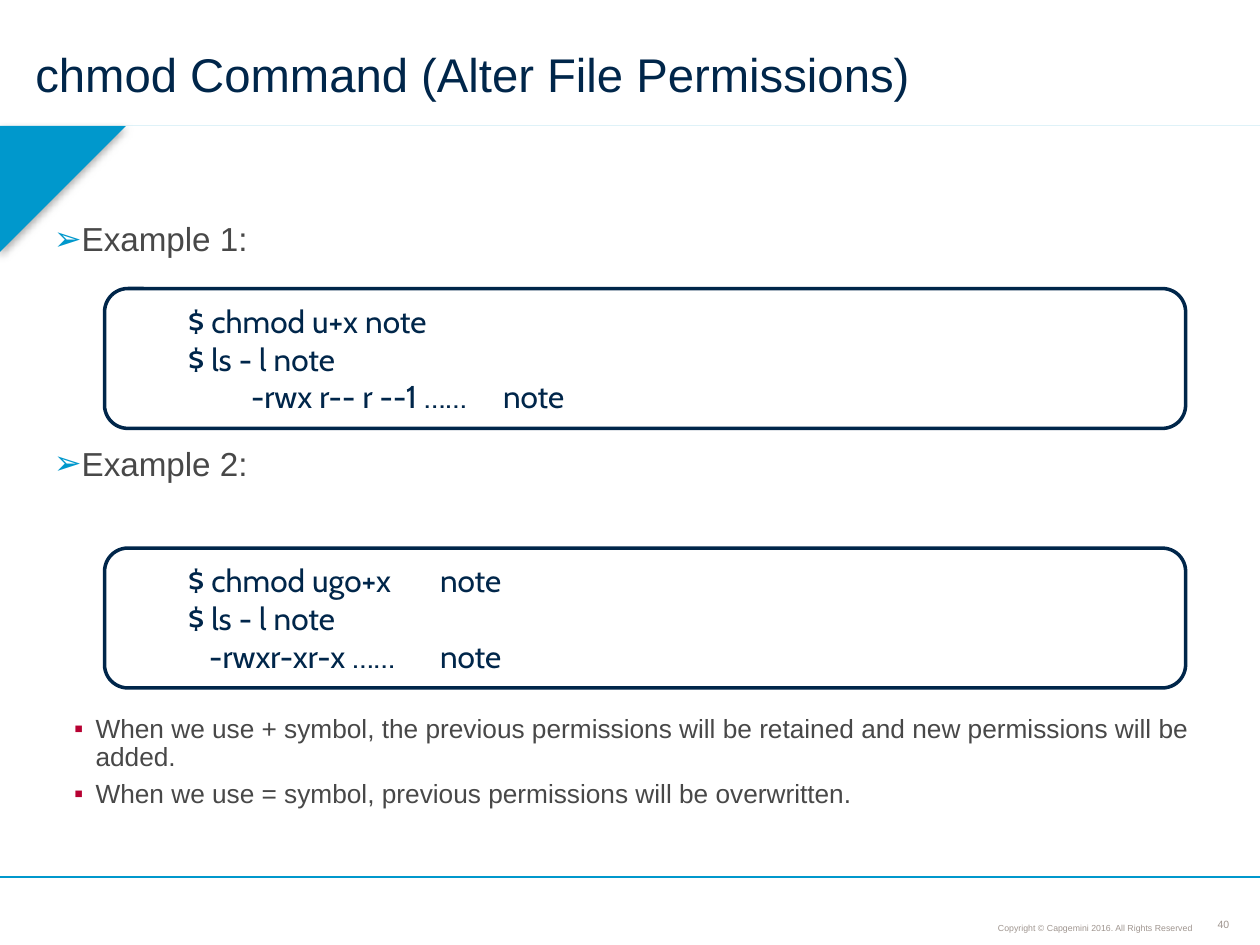
from lxml.etree import SubElement
from pptx import Presentation
from pptx.dml.color import RGBColor
from pptx.enum.shapes import MSO_CONNECTOR, MSO_SHAPE
from pptx.enum.text import MSO_ANCHOR, MSO_AUTO_SIZE, PP_ALIGN
from pptx.oxml.ns import qn
from pptx.util import Inches, Pt

NAVY, BLUE, RED = "00264A", "0098CC", "B70132"
GREY, FAINT, WHITE = "484848", "9F958F", "FFFFFF"

RIBBON_START = (9.51, 1.1)
RIBBON_CURVES = [
    [(0.97, 1.1)],
    [(0.59, 1.1), (0.48, 1.47), (0.48, 1.47)],
    [(0.48, 1.47), (0.38, 1.1), (0, 1.1)],
    [(0, 1.17)],
    [(0.38, 1.17), (0.48, 1.54), (0.48, 1.54)],
    [(0.48, 1.54), (0.59, 1.17), (0.97, 1.17)],
    [(9.51, 1.17)],
    [(9.89, 1.17), (10, 0.81), (10, 0.81)],
    [(10, 0.74)],
    [(10, 0.74), (9.89, 1.1), RIBBON_START],
]


def color(value):
    return RGBColor.from_string(value)


def set_frame(frame, insets, anchor=MSO_ANCHOR.TOP, wrap=True):
    frame.auto_size = MSO_AUTO_SIZE.NONE
    frame.word_wrap = wrap
    frame.vertical_anchor = anchor
    left, top, right, bottom = insets
    frame.margin_left, frame.margin_top = Inches(left), Inches(top)
    frame.margin_right, frame.margin_bottom = Inches(right), Inches(bottom)


def add_span(para, text, size, ink, font="Arial"):
    span = para.add_run()
    span.text = text
    span.font.size = Pt(size)
    span.font.name = font
    span.font.color.rgb = color(ink)


def add_bullet(para, char, ink, indent, hanging):
    properties = para._p.get_or_add_pPr()
    properties.set("marL", str(Inches(indent)))
    properties.set("indent", str(-Inches(hanging)))
    bullet_color = SubElement(properties, qn("a:buClr"))
    SubElement(bullet_color, qn("a:srgbClr"), val=ink)
    SubElement(properties, qn("a:buFont"), typeface="Arial")
    SubElement(properties, qn("a:buChar"), char=char)


def set_title(page, text):
    title = page.shapes.title
    title.left, title.top = Inches(0), Inches(0)
    title.width, title.height = Inches(10), Inches(1.1)
    set_frame(title.text_frame, (0.28, 0.17, 0.15, 0.03), MSO_ANCHOR.MIDDLE)
    para = title.text_frame.paragraphs[0]
    para.alignment = PP_ALIGN.LEFT
    para.line_spacing = 0.85
    add_span(para, text, 27, NAVY)


def add_bullets(page, top, height, lines, char, ink, size, indent, hanging):
    box = page.shapes.add_textbox(Inches(0.33), Inches(top), Inches(9.38), Inches(height))
    frame = box.text_frame
    set_frame(frame, (0.1, 0.07, 0.07, 0.07))
    for index, line in enumerate(lines):
        para = frame.add_paragraph() if index else frame.paragraphs[0]
        para.line_spacing = 0.9
        para.space_after = Pt(5.1)
        add_bullet(para, char, ink, indent, hanging)
        add_span(para, line, size, GREY)


def add_code_box(page, top, lines):
    box = page.shapes.add_shape(
        MSO_SHAPE.ROUNDED_RECTANGLE, Inches(0.83), Inches(top), Inches(8.58), Inches(1.11))
    box.shadow.inherit = False
    box.fill.solid()
    box.fill.fore_color.rgb = color(WHITE)
    box.line.color.rgb = color(NAVY)
    box.line.width = Pt(2)
    frame = box.text_frame
    set_frame(frame, (0.1, 0.05, 0.1, 0.05), MSO_ANCHOR.MIDDLE)
    for index, line in enumerate(lines):
        para = frame.add_paragraph() if index else frame.paragraphs[0]
        para.alignment = PP_ALIGN.LEFT
        properties = para._p.get_or_add_pPr()
        properties.set("marL", str(Inches(0.51)))
        properties.set("indent", "0")
        add_span(para, line, 18, NAVY, "Cabin")


def curve_points(start, controls, steps=16):
    if len(controls) == 1:
        return controls
    corners = [start, *controls]
    weights = (1, 3, 3, 1)
    points = []
    for step in range(1, steps + 1):
        t = step / steps
        shares = [w * (1 - t) ** (3 - i) * t ** i for i, w in enumerate(weights)]
        points.append(tuple(
            sum(share * corner[axis] for share, corner in zip(shares, corners))
            for axis in (0, 1)))
    return points


def add_ribbon(page):
    points = []
    start = RIBBON_START
    for controls in RIBBON_CURVES:
        points += curve_points(start, controls)
        start = controls[-1]
    builder = page.shapes.build_freeform(*RIBBON_START, scale=Inches(1))
    builder.add_line_segments(points, close=True)
    ribbon = builder.convert_to_shape()
    ribbon.fill.solid()
    ribbon.fill.fore_color.rgb = color(BLUE)
    ribbon.line.fill.background()
    effects = SubElement(ribbon._element.spPr, qn("a:effectLst"))
    shadow = SubElement(effects, qn("a:outerShdw"), blurRad=str(Pt(4)),
                        dist=str(Pt(2)), dir="5400000", rotWithShape="0")
    shade = SubElement(shadow, qn("a:srgbClr"), val="000000")
    SubElement(shade, qn("a:alpha"), val="31000")


def add_footer_rule(page):
    rule = page.shapes.add_connector(
        MSO_CONNECTOR.STRAIGHT, Inches(10), Inches(6.96), Inches(0), Inches(6.96))
    rule.line.color.rgb = color(BLUE)
    rule.line.width = Pt(0.75)
    SubElement(rule._element.spPr, qn("a:effectLst"))


def add_footer_text(page, place, text, size, inset, anchor, alignment, wrap):
    box = page.shapes.add_textbox(*map(Inches, place))
    set_frame(box.text_frame, (inset,) * 4, anchor, wrap)
    para = box.text_frame.paragraphs[0]
    para.alignment = alignment
    para.line_spacing = 0.9
    add_span(para, text, size, FAINT)


def main():
    deck = Presentation()
    deck.slide_width, deck.slide_height = Inches(10), Inches(7.5)
    page = deck.slides.add_slide(deck.slide_layouts[5])

    add_footer_text(page, (9.66, 7.29, 0.1, 0.1), "40", 6, 0,
                    MSO_ANCHOR.MIDDLE, PP_ALIGN.CENTER, False)
    add_ribbon(page)
    add_footer_text(page, (6.81, 7.24, 2.69, 0.2),
                    "Copyright © Capgemini 2016. All Rights Reserved", 5, 0.03,
                    MSO_ANCHOR.BOTTOM, PP_ALIGN.RIGHT, True)
    add_footer_rule(page)
    set_title(page, "chmod Command (Alter File Permissions)")

    for top, heading in ((1.7, "Example 1:"), (3.48, "Example 2:")):
        add_bullets(page, top, 0.45, [heading], "➢", BLUE, 19, 0.15, 0.15)
    add_bullets(page, 5.61, 1.17, [
        "When we use + symbol, the previous permissions will be retained "
        "and new permissions will be added.",
        "When we use = symbol, previous permissions will be overwritten.",
    ], "▪", RED, 15, 0.33, 0.17)

    add_code_box(page, 2.29, [
        "$ chmod u+x note", "$ ls - l note", "\t-rwx r-- r --1 ……\tnote"])
    add_code_box(page, 4.35, [
        "$ chmod ugo+x\tnote", "$ ls - l note", "   -rwxr-xr-x ……\tnote"])

    deck.save("out.pptx")


if __name__ == "__main__":
    main()
